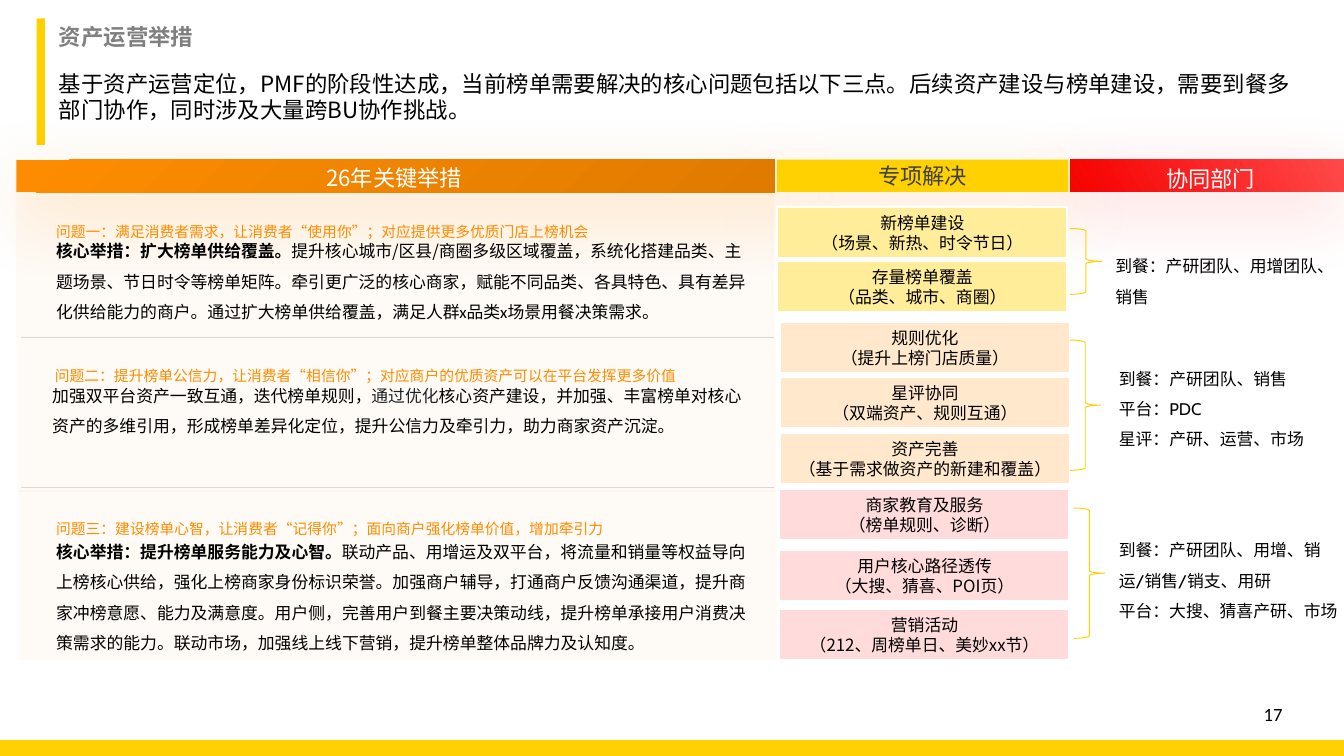
from typing import NamedTuple, Optional, Sequence

import pptx
import pptx.dml.color
import pptx.enum.shapes
import pptx.enum.text
import pptx.oxml
import pptx.oxml.ns
import pptx.util

Pt = pptx.util.Pt
ALIGN = pptx.enum.text.PP_ALIGN
ANCHOR = pptx.enum.text.MSO_ANCHOR
SHAPE = pptx.enum.shapes.MSO_SHAPE
NOTO, CABIN, CALIBRI = "Noto Sans CJK SC", "Cabin", "Calibri"
YELLOW, ORANGE, RED = "FFD100", "FE8C00", "FF4949"
BLACK, WHITE = "000000", "FFFFFF"


class Box(NamedTuple):
    left: float
    top: float
    width: float
    height: float


class Run(NamedTuple):
    text: str
    font: str = CALIBRI
    color: str = BLACK
    bold: bool = False


class Issue(NamedTuple):
    heading: str
    heading_box: Box
    runs: Sequence[Run]
    body_box: Box


class Group(NamedTuple):
    """Tasks that share a colour, a brace and a list of departments."""
    color: str
    left: float
    tops: Sequence[float]
    tasks: Sequence[tuple]
    brace: Box
    departments: Sequence[str]
    departments_box: Box


ISSUES = [
    Issue("问题一：满足消费者需求，让消费者“使用你”；对应提供更多优质门店上榜机会",
          Box(23, 105.8, 377.3, 19.4),
          [Run("核心举措：扩大榜单供给覆盖。", bold=True),
           Run("提升核心城市/区县/商圈多级区域覆盖，", NOTO),
           Run("系统化搭建品类、主题场景、节日时令等榜单矩阵"), Run("。", NOTO),
           Run("牵引更广泛的核心商家，赋能不同品类、各具特色、具有差异化供给能力的商户。"
               "通过扩大榜单供给覆盖，满足人群x品类x场景用餐决策需求。")],
          Box(-13, 120.2, 426.2, 54.7)),
    Issue("问题二：提升榜单公信力，让消费者“相信你”；对应商户的优质资产可以在平台发挥更多价值",
          Box(22.3, 182.9, 394.6, 19.4),
          [Run("加强双平台资产一致互通"), Run("，迭代榜单规则，", NOTO),
           Run("通过优化", color="1F2328"),
           Run("核心资产建设，并加强、丰富榜单对核心资产的多维引用，形成榜单差异化定位，"
               "提升公信力及牵引力，助力商家资产沉淀。")],
          Box(-15.1, 197.7, 426.2, 38.2)),
    Issue("问题三：建设榜单心智，让消费者“记得你”；面向商户强化榜单价值，增加牵引力",
          Box(23, 265, 369.4, 19.4),
          [Run("核心举措：提升榜单服务能力及心智。", bold=True),
           Run("联动产品、用增运及双平台，将流量和销量等权益导向上榜核心供给，"
               "强化上榜商家身份标识荣誉。加强商户辅导，打通商户反馈沟通渠道，"
               "提升商家冲榜意愿、能力及满意度。用户侧，完善用户到餐主要决策动线，"
               "提升榜单承接用户消费决策需求的能力。联动市场，加强线上线下营销，"
               "提升榜单整体品牌力及认知度。")],
          Box(-13, 281.3, 426.2, 70.6)),
]

GROUPS = [
    Group("FFED99", 416.4, (111.1, 140.1),
          [("新榜单建设", "（场景、新热、时令节日）"),
           ("存量榜单覆盖", "（品类、城市、商圈）")],
          Box(573.1, 122.4, 17.3, 35.3),
          ["到餐：产研团队、用增团队、销售"], Box(590.4, 128.2, 138.2, 38.2)),
    Group("FFE8CC", 417.8, (172.6, 202.1, 232.1),
          [("规则优化", "（提升上榜门店质量）"),
           ("星评协同", "（双端资产、规则互通）"),
           ("资产完善", "（基于需求做资产的新建和覆盖）")],
          Box(573.1, 182.2, 16.6, 69.8),
          ["到餐：产研团队、销售", "平台：PDC", "星评：产研、运营、市场"],
          Box(592.3, 188.4, 138.2, 54.7)),
    Group("FFDBDB", 417.6, (262.3, 294.9, 326.4),
          [("商家教育及服务", "（榜单规则、诊断）"),
           ("用户核心路径透传", "（大搜、猜喜、POI页）"),
           ("营销活动", "（212、周榜单日、美妙xx节）")],
          Box(575.3, 272.2, 16.6, 69.8),
          ["到餐：产研团队、用增、销运/销售/销支、用研", "平台：大搜、猜喜产研、市场"],
          Box(592.3, 280.3, 132.5, 54.7)),
]


def rgb(color: str):
    return pptx.dml.color.RGBColor.from_string(color)


def element(body: str):
    """Build a drawing element from its markup after the opening prefix."""
    tag, rest = body.split(" ", 1)
    return pptx.oxml.parse_xml(f"<a:{tag} {pptx.oxml.ns.nsdecls('a')} {rest}")


def points(box: Box):
    return [Pt(value) for value in box]


def write(shape, paragraphs: Sequence, *, size: float = 9, font: str = NOTO,
          color: str = BLACK, bold: bool = False, align=ALIGN.LEFT, anchor=ANCHOR.TOP,
          spacing: float = 1.0, indent: float = 0, baseline: int = 0,
          inset: Optional[float] = None) -> None:
    """Fill a shape; each paragraph is a string or a sequence of Runs."""
    frame = shape.text_frame
    frame.word_wrap = True
    frame.vertical_anchor = anchor
    if inset is not None:
        frame.margin_left = frame.margin_right = Pt(inset)
        frame.margin_top = frame.margin_bottom = Pt(inset)
    for index, content in enumerate(paragraphs):
        paragraph = frame.add_paragraph() if index else frame.paragraphs[0]
        paragraph.alignment = align
        paragraph.line_spacing = spacing
        if indent:
            properties = paragraph._p.get_or_add_pPr()
            properties.set("marL", str(Pt(indent)))
            properties.set("indent", "0")
        runs = [Run(content, font, color, bold)] if isinstance(content, str) else content
        for item in runs:
            run = paragraph.add_run()
            run.text = item.text
            run.font.size = Pt(size)
            run.font.name = item.font
            run.font.bold = item.bold
            run.font.color.rgb = rgb(item.color)
            properties = run._r.get_or_add_rPr()
            if baseline:
                properties.set("baseline", str(baseline * 1000))
            properties.find(pptx.oxml.ns.qn("a:latin")).addnext(
                element(f'ea typeface="{NOTO}"/>'))


def add_text(slide, box: Box, paragraphs: Sequence, **format_options):
    shape = slide.shapes.add_textbox(*points(box))
    write(shape, paragraphs, **format_options)
    return shape


def add_shape(slide, box: Box, fill: Optional[str] = None, *, kind=SHAPE.RECTANGLE,
              line: Optional[str] = None, line_width: float = 1,
              alpha: Optional[int] = None):
    shape = slide.shapes.add_shape(kind, *points(box))
    shape.shadow.inherit = False
    if fill:
        shape.fill.solid()
        shape.fill.fore_color.rgb = rgb(fill)
    else:
        shape.fill.background()
    if alpha is not None:
        color = shape._element.spPr.find(".//" + pptx.oxml.ns.qn("a:srgbClr"))
        color.append(element(f'alpha val="{alpha * 1000}"/>'))
    if line:
        shape.line.color.rgb = rgb(line)
        shape.line.width = Pt(line_width)
    else:
        shape.line.fill.background()
    return shape


def add_glow(shape, color: str, distance: float) -> None:
    """Cast a soft coloured shadow straight down."""
    shape._element.spPr.find(pptx.oxml.ns.qn("a:effectLst")).append(element(
        f'outerShdw blurRad="{Pt(37)}" dist="{Pt(distance)}" dir="5400000" algn="t" '
        f'rotWithShape="0"><a:srgbClr val="{color}"><a:alpha val="24000"/>'
        '</a:srgbClr></a:outerShdw>'))


def set_gradient(shape, start: str, end: str, direction: str) -> None:
    """Replace an empty fill by a gradient with the given direction element."""
    properties = shape._element.spPr
    empty = properties.find(pptx.oxml.ns.qn("a:noFill"))
    properties.replace(empty, element(
        f'gradFill rotWithShape="1"><a:gsLst><a:gs pos="0"><a:srgbClr val="{start}"/></a:gs>'
        f'<a:gs pos="100000"><a:srgbClr val="{end}"/></a:gs></a:gsLst>{direction}</a:gradFill>'))


def add_divider(slide, top: float) -> None:
    line = slide.shapes.add_connector(pptx.enum.shapes.MSO_CONNECTOR.STRAIGHT,
                                      Pt(11.5), Pt(top), Pt(414.7), Pt(top))
    line.line.color.rgb = rgb("D9D9D9")
    line.line.width = Pt(0.5)
    line._element.spPr.append(element("effectLst />"))


def add_headers(slide) -> None:
    header_text = dict(size=11.9, align=ALIGN.CENTER)
    departments = add_shape(slide, Box(573.3, 85.3, 146.7, 17.4))
    set_gradient(departments, "F60000", RED, '<a:lin ang="19800000" scaled="0"/>')
    add_glow(departments, RED, 9.7)
    add_text(slide, Box(592.3, 86.4, 112.3, 21.6), ["协同部门"], color=WHITE,
             spacing=1.14, inset=0, **header_text)
    initiatives = add_shape(slide, Box(8.8, 85.5, 406.4, 17.5))
    set_gradient(initiatives, "E07B00", ORANGE,
                 '<a:path path="circle"><a:fillToRect l="100000" t="100000"/></a:path>')
    add_glow(initiatives, ORANGE, 11)
    add_text(slide, Box(126.2, 85.9, 169.9, 21.6), ["26年关键举措"], color=WHITE,
             spacing=1.14, inset=0, **header_text)
    solutions = add_shape(slide, Box(416.2, 85.5, 156.2, 17.3), YELLOW)
    add_glow(solutions, ORANGE, 11)
    write(solutions, ["专项解决"], color="404040", anchor=ANCHOR.MIDDLE, **header_text)


def add_issue(slide, issue: Issue) -> None:
    add_text(slide, issue.heading_box, [issue.heading], size=13.6, font=CABIN,
             color=ORANGE, spacing=1.2, baseline=-8)
    add_text(slide, issue.body_box, [issue.runs], spacing=1.5, indent=36)


def add_group(slide, group: Group) -> None:
    for top, task in zip(group.tops, group.tasks):
        shape = add_shape(slide, Box(group.left, top, 155.3, 27.1), group.color, line=WHITE)
        write(shape, task, align=ALIGN.CENTER, anchor=ANCHOR.MIDDLE)
    add_text(slide, group.departments_box, group.departments, font=CABIN, spacing=1.5)
    add_shape(slide, group.brace, kind=SHAPE.RIGHT_BRACE, line=YELLOW, line_width=0.5)


def main() -> None:
    presentation = pptx.Presentation()
    presentation.slide_width, presentation.slide_height = Pt(720), Pt(405)
    slide = presentation.slides.add_slide(presentation.slide_layouts[6])

    add_text(slide, Box(609.1, 373, 85, 20.2), ["17"], size=10, font=CALIBRI,
             align=ALIGN.RIGHT, anchor=ANCHOR.MIDDLE, spacing=0.9)
    add_shape(slide, Box(0, 396.5, 720, 8.5), YELLOW)
    add_shape(slide, Box(19.6, 9.8, 4.5, 67.8), YELLOW)
    add_text(slide, Box(24.5, 9.8, 676.1, 20.9), ["资产运营举措"], size=12,
             color="808080", bold=True, anchor=ANCHOR.MIDDLE, spacing=0.9)
    add_text(slide, Box(24.5, 33.8, 680.4, 36),
             ["基于资产运营定位，PMF的阶段性达成，当前榜单需要解决的核心问题包括以下三点。"
              "后续资产建设与榜单建设，需要到餐多部门协作，同时涉及大量跨BU协作挑战。"], size=12)

    for panel in (Box(10.1, 262.8, 406.1, 90.7), Box(8.6, 100.1, 406.1, 80.6),
                  Box(9.4, 180, 406.1, 83.5)):
        add_shape(slide, panel, ORANGE, alpha=4)
    add_headers(slide)
    for top in (180.7, 261.4):
        add_divider(slide, top)
    for issue in ISSUES:
        add_issue(slide, issue)
    for group in GROUPS:
        add_group(slide, group)
    presentation.save("out.pptx")


if __name__ == "__main__":
    main()
